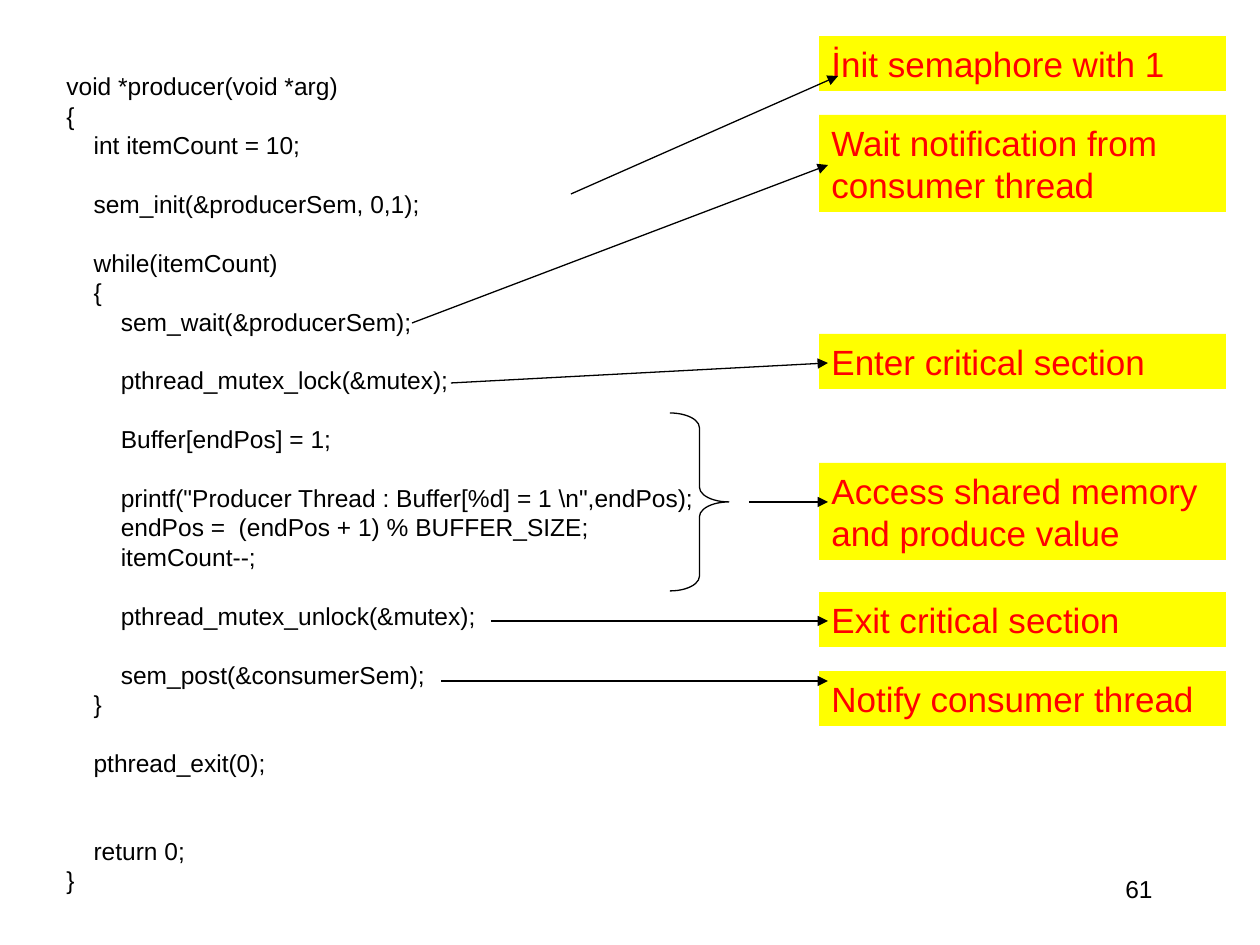
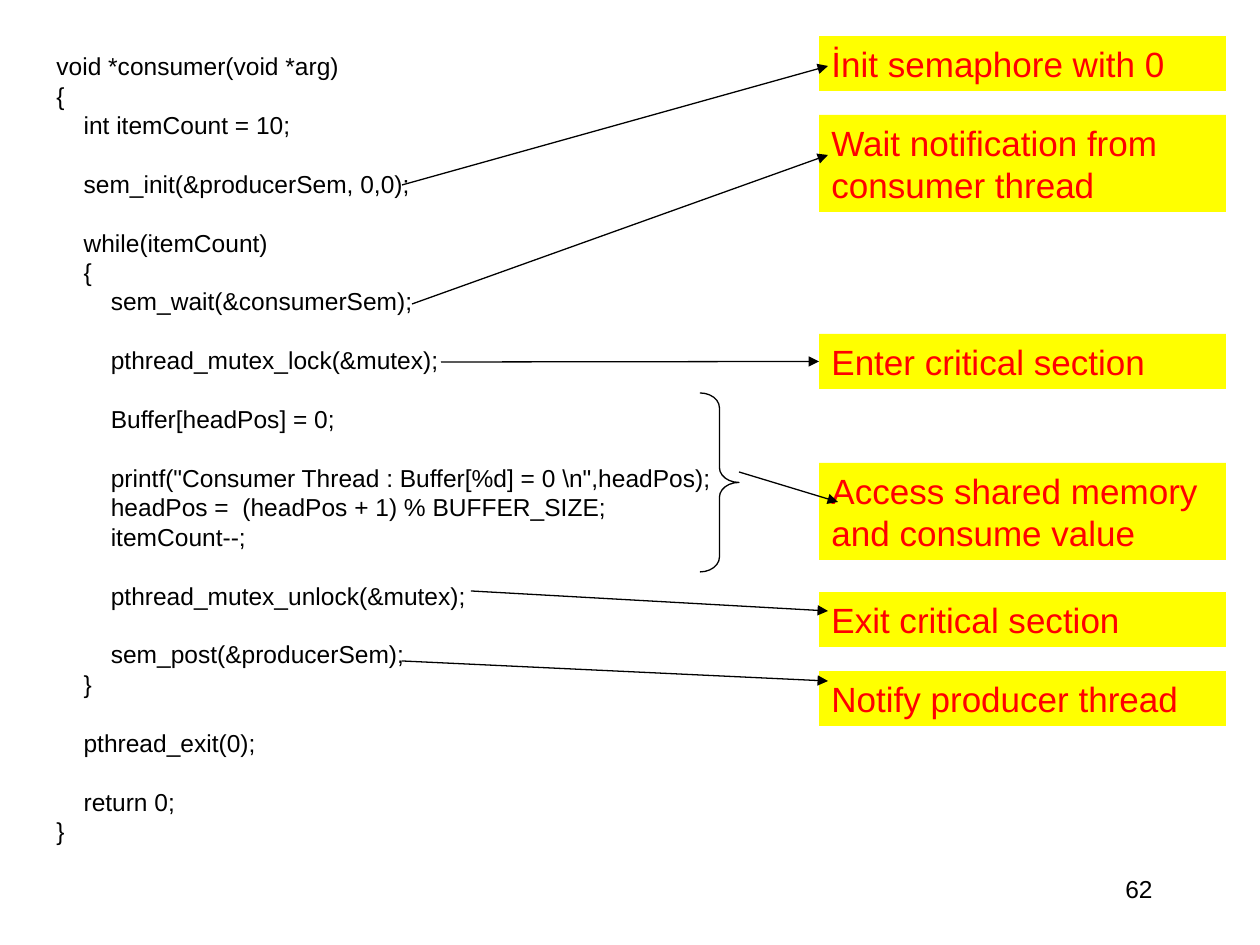
from dataclasses import dataclass

from lxml.etree import SubElement
from pptx import Presentation
from pptx.dml.color import RGBColor
from pptx.enum.shapes import MSO_CONNECTOR, MSO_SHAPE
from pptx.enum.text import MSO_ANCHOR, PP_ALIGN
from pptx.oxml.ns import qn
from pptx.util import Emu, Pt

PX_PER_INCH = 126
BLANK_LAYOUT = 6
LABEL_LEFT, LABEL_WIDTH = 819, 407
LABEL_ROWS = [(36, 55), (115, 97), (334, 55), (463, 97), (592, 55), (671, 55)]
LEFT_SIDE = 1

LISTING = r"""void *{role}(void *arg)
{{
    int itemCount = 10;

    sem_init(&producerSem, 0,{initial});

    while(itemCount)
    {{
        sem_wait(&{role}Sem);

        pthread_mutex_lock(&mutex);

        Buffer[{position}] = {value};

        printf("{title} Thread : Buffer[%d] = {value} \n",{position});
        {position} =  ({position} + 1) % BUFFER_SIZE;
        itemCount--;

        pthread_mutex_unlock(&mutex);

        sem_post(&{partner}Sem);
    }}

    pthread_exit(0);
{exit_gap}
    return 0;
}}"""


@dataclass(frozen=True)
class Theme:
    font: str = "Arial"
    ink: RGBColor = RGBColor(0, 0, 0)
    label_fill: RGBColor = RGBColor(255, 255, 0)
    label_ink: RGBColor = RGBColor(255, 0, 0)
    code_size: float = 14
    code_leading: float = 16.8
    label_size: float = 20
    label_leading: float = 24
    line_width: float = 0.75


@dataclass(frozen=True)
class ThreadSlide:
    role: str
    partner: str
    verb: str
    initial: int
    value: int
    position: str
    exit_gap: str
    code_box: tuple
    brace_box: tuple
    arrows: list
    number: str


THEME = Theme()

PRODUCER = ThreadSlide(
    role="producer", partner="consumer", verb="produce",
    initial=1, value=1, position="endPos", exit_gap="\n",
    code_box=(54, 65, 670, 836), brace_box=(670, 413, 59, 178),
    arrows=[((571, 194), (838, 76)), ((412, 323), (828, 165)),
            ((451, 383), (828, 363)), ((749, 502), (828, 502)),
            ((491, 621), (828, 621)), ((441, 681), (828, 681))],
    number="61")

# An arrow without an end point is joined to the side of its label.
CONSUMER = ThreadSlide(
    role="consumer", partner="producer", verb="consume",
    initial=0, value=0, position="headPos", exit_gap="",
    code_box=(44, 45, 684, 808), brace_box=(700, 393, 39, 179),
    arrows=[((402, 185), (828, 66)), ((412, 304), (828, 155)),
            ((441, 362), None), ((739, 472), (838, 502)),
            ((471, 591), (828, 611)), ((402, 661), (828, 681))],
    number="62")


def px(length):
    return Emu(round(length * 914400 / PX_PER_INCH))


def box(*lengths):
    return [px(length) for length in lengths]


def format_paragraph(paragraph, size, color, leading=None):
    paragraph.font.size = Pt(size)
    if leading:
        paragraph.line_spacing = Pt(leading)
    for run in paragraph.runs:
        run.font.name = THEME.font
        run.font.size = Pt(size)
        run.font.color.rgb = color


def add_code(slide, code, area):
    """Set one paragraph per line; empty lines become space before the next."""
    frame = slide.shapes.add_textbox(*box(*area)).text_frame
    frame.word_wrap = True
    paragraph, gaps = frame.paragraphs[0], 0
    for line in code.splitlines():
        if not line:
            gaps += 1
            continue
        if paragraph.text:
            paragraph = frame.add_paragraph()
        paragraph.text = line
        format_paragraph(paragraph, THEME.code_size, THEME.ink, THEME.code_leading)
        if gaps:
            paragraph.space_before = Pt(gaps * THEME.code_leading)
        gaps = 0


def add_label(slide, text, top, height):
    label = slide.shapes.add_shape(
        MSO_SHAPE.RECTANGLE, *box(LABEL_LEFT, top, LABEL_WIDTH, height))
    label.shadow.inherit = False
    label.fill.solid()
    label.fill.fore_color.rgb = THEME.label_fill
    label.line.fill.background()
    frame = label.text_frame
    frame.word_wrap = True
    frame.vertical_anchor = MSO_ANCHOR.TOP
    frame.text = text
    paragraph = frame.paragraphs[0]
    paragraph.alignment = PP_ALIGN.LEFT
    format_paragraph(paragraph, THEME.label_size, THEME.label_ink,
                     THEME.label_leading)
    return label


def style_line(line):
    line.color.rgb = THEME.ink
    line.width = Pt(THEME.line_width)


def add_arrow(slide, start, end, label):
    target = end or (LABEL_LEFT, start[1])
    arrow = slide.shapes.add_connector(
        MSO_CONNECTOR.STRAIGHT, *box(*start, *target))
    if end is None:
        arrow.end_connect(label, LEFT_SIDE)
    style_line(arrow.line)
    SubElement(arrow.line._get_or_add_ln(), qn("a:tailEnd"), type="triangle")
    SubElement(arrow._element.spPr, qn("a:effectLst"))


def add_brace(slide, area):
    brace = slide.shapes.add_shape(MSO_SHAPE.RIGHT_BRACE, *box(*area))
    brace.shadow.inherit = False
    brace.fill.background()
    brace.adjustments[0] = round(15 / area[2], 2)
    style_line(brace.line)


def add_slide_number(slide, number):
    frame = slide.shapes.add_textbox(*box(903, 861, 262, 62)).text_frame
    frame.word_wrap = True
    frame.text = number
    paragraph = frame.paragraphs[0]
    paragraph.alignment = PP_ALIGN.RIGHT
    paragraph.line_spacing = 1.24
    format_paragraph(paragraph, THEME.code_size, THEME.ink)


def add_thread_slide(deck, thread):
    slide = deck.slides.add_slide(deck.slide_layouts[BLANK_LAYOUT])
    code = LISTING.format(
        role=thread.role, title=thread.role.capitalize(),
        partner=thread.partner, initial=thread.initial, value=thread.value,
        position=thread.position, exit_gap=thread.exit_gap)
    add_code(slide, code, thread.code_box)
    notes = [
        f"İnit semaphore with {thread.initial}",
        "Wait notification from consumer thread",
        "Enter critical section",
        f"Access shared memory and {thread.verb} value",
        "Exit critical section",
        f"Notify {thread.partner} thread",
    ]
    labels = [add_label(slide, note, *row)
              for note, row in zip(notes, LABEL_ROWS)]
    for (start, end), label in zip(thread.arrows, labels):
        add_arrow(slide, start, end, label)
    add_brace(slide, thread.brace_box)
    add_slide_number(slide, thread.number)


def main():
    deck = Presentation()
    deck.slide_width, deck.slide_height = px(1260), px(945)
    for thread in (PRODUCER, CONSUMER):
        add_thread_slide(deck, thread)
    deck.save("out.pptx")


if __name__ == "__main__":
    main()
